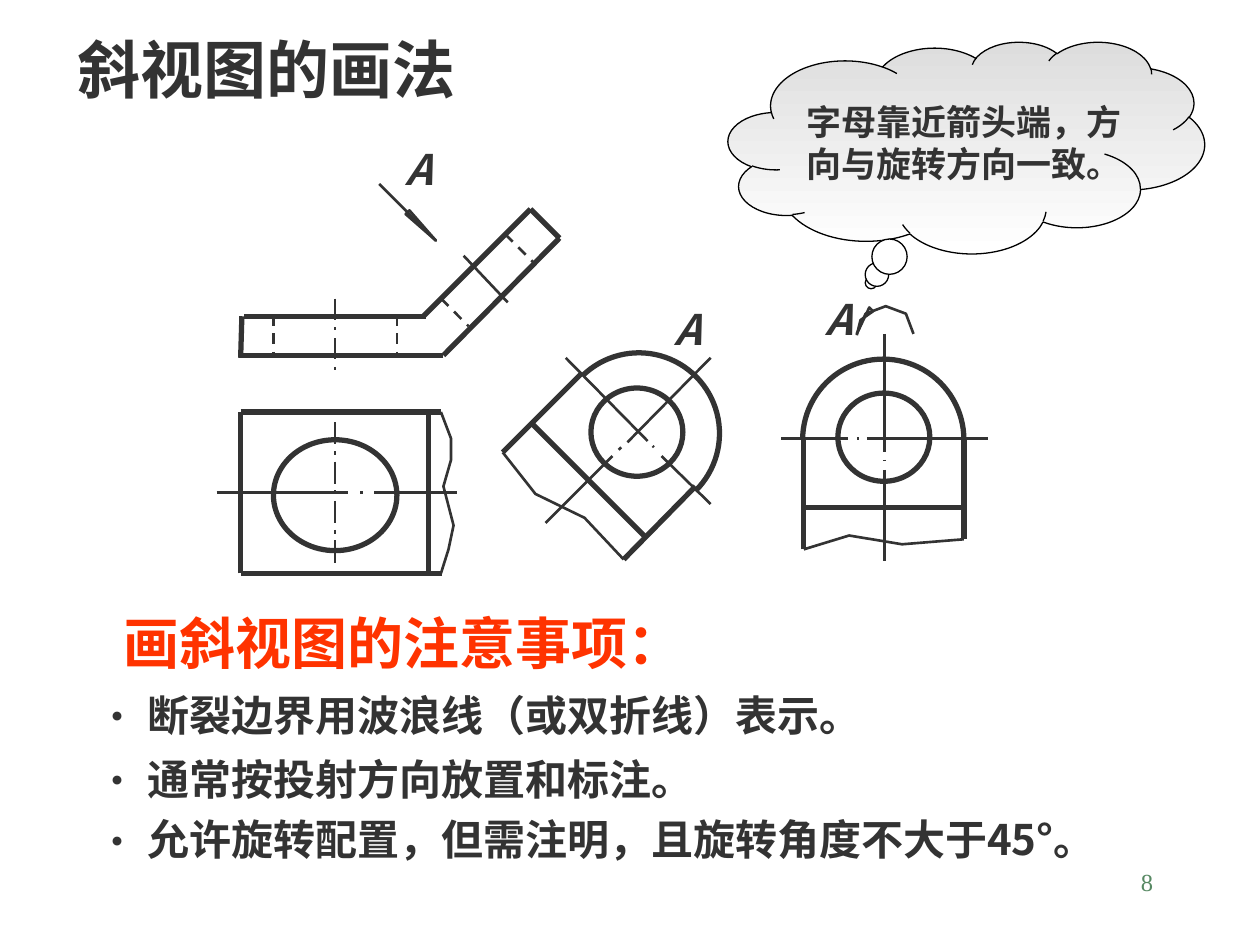
from lxml import etree
from pptx import Presentation
from pptx import util as u
from pptx.dml.color import RGBColor
from pptx.enum import dml, shapes, text
from pptx.oxml.ns import qn

COLORS = {"ink": "333333", "red": "FF3300", "green": "578963",
          "black": "000000", "cloud_top": "DDDDDD", "white": "FFFFFF"}
SANS, SERIF = "Noto Sans CJK SC", "Times New Roman"
THICK, THIN = 3, 1.5
CM_PER_INCH = 2.54
DASH, CHAIN = dml.MSO_LINE.DASH, dml.MSO_LINE.LONG_DASH_DOT

TITLE = "斜视图的画法"
HEADING = "画斜视图的注意事项："
NOTES = [
    ("断裂边界用波浪线（或双折线）表示。", 5.42),
    ("通常按投射方向放置和标注。", 5.93),
    ("允许旋转配置，但需注明，且旋转角度不大于45°。", 6.41),
]
CLOUD = ["字母靠近箭头端，方", "向与旋转方向一致。"]
VIEW_LABELS = [(3.22, 1.14), (5.35, 2.41), (6.55, 2.33)]

OUTLINES = {
    "front view": [
        [(1.94, 2.51), (3.38, 2.51)], [(3.36, 2.51), (4.21, 1.66)],
        [(4.21, 1.66), (4.44, 1.89)], [(3.52, 2.82), (4.44, 1.89)],
        [(3.52, 2.82), (1.91, 2.82)], [(1.91, 2.84), (1.92, 2.51)],
    ],
    "top view": [
        [(1.91, 4.55), (3.51, 4.55)], [(1.91, 3.27), (3.5, 3.27)],
        [(1.91, 4.55), (1.91, 3.27)], [(3.4, 4.55), (3.4, 3.27)],
    ],
    "oblique view": [
        [(4.95, 4.44), (5.52, 3.86)], [(3.99, 3.59), (4.61, 2.97)],
        [(4.22, 3.36), (5.12, 4.26)],
    ],
    "rotated view": [
        [(6.38, 4.03), (7.65, 4.03)], [(6.38, 4.36), (6.38, 3.48)],
        [(7.65, 4.28), (7.65, 3.48)],
    ],
}
CENTRE_LINES = [
    [(3.68, 2.03), (4.03, 2.4)],
    [(1.72, 3.91), (2.76, 3.91)], [(2.86, 3.91), (2.88, 3.91)],
    [(2.97, 3.91), (3.63, 3.91)],
    [(5.64, 2.84), (4.98, 3.51)], [(4.93, 3.55), (4.91, 3.57)],
    [(4.86, 3.62), (4.33, 4.15)],
    [(4.49, 2.84), (5.14, 3.5)], [(5.18, 3.54), (5.19, 3.55)],
    [(5.25, 3.62), (5.64, 4)],
    [(7.02, 2.65), (7.02, 3.59)], [(7.02, 3.65), (7.02, 3.66)],
    [(7.02, 3.73), (7.02, 4.45)],
    [(6.2, 3.48), (6.73, 3.48)], [(6.8, 3.48), (6.82, 3.48)],
    [(6.88, 3.48), (7.84, 3.48)],
]
CHAIN_LINES = [
    [(2.66, 2.37), (2.66, 2.96)], [(2.66, 3.35), (2.66, 4.37)],
    [(2.66, 3.36), (2.66, 4.48)],
]
HIDDEN_EDGES = [
    [(4.01, 1.86), (4.23, 2.08)], [(3.5, 2.37), (3.72, 2.59)],
    [(2.17, 2.5), (2.17, 2.81)], [(3.15, 2.5), (3.15, 2.84)],
]
BREAK_LINES = [
    [(3.5, 3.27), (3.58, 3.48), (3.58, 3.65), (3.52, 3.86),
     (3.6, 4.17), (3.56, 4.36), (3.5, 4.55)],
    [(3.99, 3.59), (4.25, 3.92), (4.64, 4.11), (4.95, 4.44)],
    [(6.38, 4.36), (6.74, 4.25), (7.16, 4.32), (7.65, 4.28)],
]
ARROWS = [
    [(3.01, 1.46), (3.46, 1.91)],
    [(3.46, 1.91), (3.25, 1.67), (3.22, 1.7), (3.46, 1.91)],
    [(7.25, 2.65), (7.19, 2.49), (7.03, 2.43), (6.87, 2.49), (6.8, 2.65)],
    [(6.8, 2.65), (6.9, 2.44), (6.93, 2.47), (6.83, 2.54), (6.8, 2.66)],
]
HOLES = [(2.17, 3.49, 0.98, 0.88), (4.69, 3.08, 0.73, 0.7),
         (6.65, 3.12, 0.73, 0.7)]
ROUND_ENDS = [(5.07, 3.44, 45.5), (7.01, 3.49, 0)]
ROUND_RADIUS = 0.64


def cm(inches):
    return u.Cm(inches * CM_PER_INCH)


def rgb(name):
    return RGBColor.from_string(COLORS[name])


def set_line(sp, width, color="ink", dash=None):
    sp.line.color.rgb = rgb(color)
    sp.line.width = u.Pt(width)
    if dash:
        sp.line.dash_style = dash


def add_stroke(s, points, width, dash=None):
    pts = [(cm(x), cm(y)) for x, y in points]
    if len(pts) == 2:
        sp = s.shapes.add_connector(shapes.MSO_CONNECTOR.STRAIGHT, *pts[0], *pts[1])
        etree.SubElement(sp._element.spPr, qn("a:effectLst"))
        set_line(sp, width, dash=dash)
        return
    fb = s.shapes.build_freeform(*pts[0], scale=1.0)
    fb.add_line_segments(pts[1:], close=False)
    sp = fb.convert_to_shape()
    sp.shadow.inherit = False
    sp.fill.background()
    set_line(sp, width, dash=dash)


def add_preset(s, kind, box):
    sp = s.shapes.add_shape(kind, *map(cm, box))
    sp.shadow.inherit = False
    sp.fill.background()
    set_line(sp, THICK)
    return sp


def write(sp, lines, size, font=SANS, color="ink", bold=True, italic=False,
          align=text.PP_ALIGN.LEFT, anchor=text.MSO_ANCHOR.TOP,
          wrap=True, margin=None, bullet_indent=0):
    tf = sp.text_frame
    tf.word_wrap = wrap
    tf.vertical_anchor = anchor
    if margin is not None:
        tf.margin_left = tf.margin_right = tf.margin_top = tf.margin_bottom = margin
    for i, line in enumerate(lines):
        p = tf.add_paragraph() if i else tf.paragraphs[0]
        p.alignment = align
        if bullet_indent:
            pPr = p._p.get_or_add_pPr()
            pPr.set("marL", str(cm(bullet_indent)))
            pPr.set("indent", str(-cm(bullet_indent)))
            etree.SubElement(pPr, qn("a:buFont")).set("typeface", font)
            etree.SubElement(pPr, qn("a:buChar")).set("char", "•")
        r = p.add_run()
        r.text = line
        f = r.font
        f.name, f.size, f.bold, f.italic = font, u.Pt(size), bold, italic
        f.color.rgb = rgb(color)
        etree.SubElement(r._r.get_or_add_rPr(), qn("a:ea")).set("typeface", SANS)


def add_text(s, box, line, size, **fmt):
    write(s.shapes.add_textbox(*map(cm, box)), [line], size, **fmt)


def main():
    prs = Presentation()
    prs.slide_width, prs.slide_height = cm(10), cm(7.5)
    s = prs.slides.add_slide(prs.slide_layouts[6])
    middle = text.MSO_ANCHOR.MIDDLE

    add_text(s, (7.17, 6.83, 2.08, 0.5), "8", 14, font=SERIF, color="green",
             bold=False, align=text.PP_ALIGN.RIGHT)
    for x, y in VIEW_LABELS:
        add_text(s, (x, y, 0.17, 0.4), "A", 24, italic=True, wrap=False,
                 margin=0, align=text.PP_ALIGN.CENTER)

    outlines = [stroke for view in OUTLINES.values() for stroke in view]
    for strokes, width, dash in [
        (ARROWS, THIN, None), (outlines, THICK, None),
        (BREAK_LINES, THIN, None), (CENTRE_LINES, THIN, None),
        (CHAIN_LINES, THIN, CHAIN), (HIDDEN_EDGES, THIN, DASH),
    ]:
        for points in strokes:
            add_stroke(s, points, width, dash)

    for box in HOLES:
        add_preset(s, shapes.MSO_SHAPE.OVAL, box)
    for x, y, angle in ROUND_ENDS:
        d = 2 * ROUND_RADIUS
        sp = add_preset(s, shapes.MSO_SHAPE.ARC,
                        (x - ROUND_RADIUS, y - ROUND_RADIUS, d, d))
        sp.adjustments[0], sp.adjustments[1] = 108, 0
        sp.rotation = angle

    add_text(s, (0.52, 0.19, 3.81, 0.7), TITLE, 36, anchor=middle)
    add_text(s, (0.88, 4.78, 5.43, 0.63), HEADING, 32, color="red")
    for line, y in NOTES:
        add_text(s, (0.67, y, 8.54, 0.5), line, 24, anchor=middle, bullet_indent=0.4)

    cloud = add_preset(s, shapes.MSO_SHAPE.CLOUD_CALLOUT, (5.78, 0.33, 3.78, 1.68))
    cloud.adjustments[0], cloud.adjustments[1] = -0.2, 0.64
    cloud.fill.gradient()
    cloud.fill.gradient_angle = 270
    for stop, name in zip(cloud.fill.gradient_stops, ("cloud_top", "white")):
        stop.color.rgb = rgb(name)
    set_line(cloud, 0.75, "black")
    write(cloud, CLOUD, 20, font=SERIF, anchor=middle, wrap=False)

    prs.save("out.pptx")


if __name__ == "__main__":
    main()
